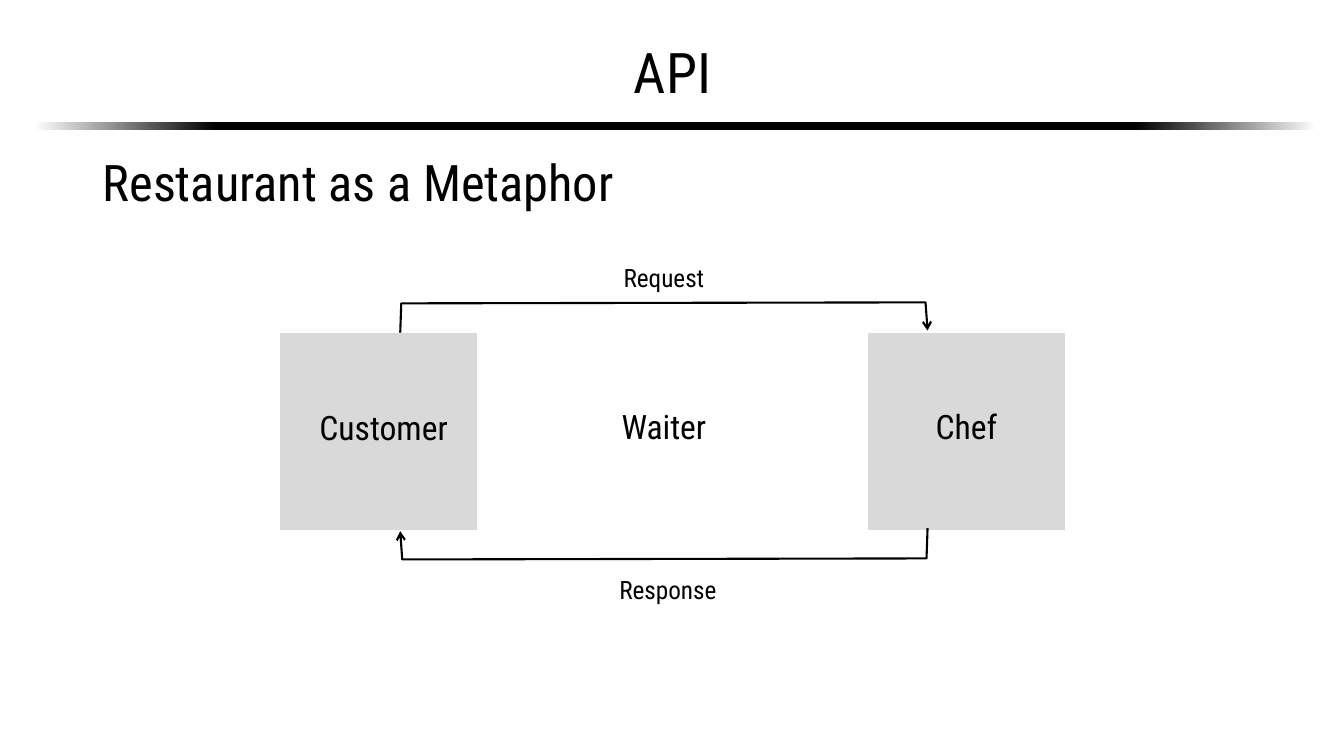
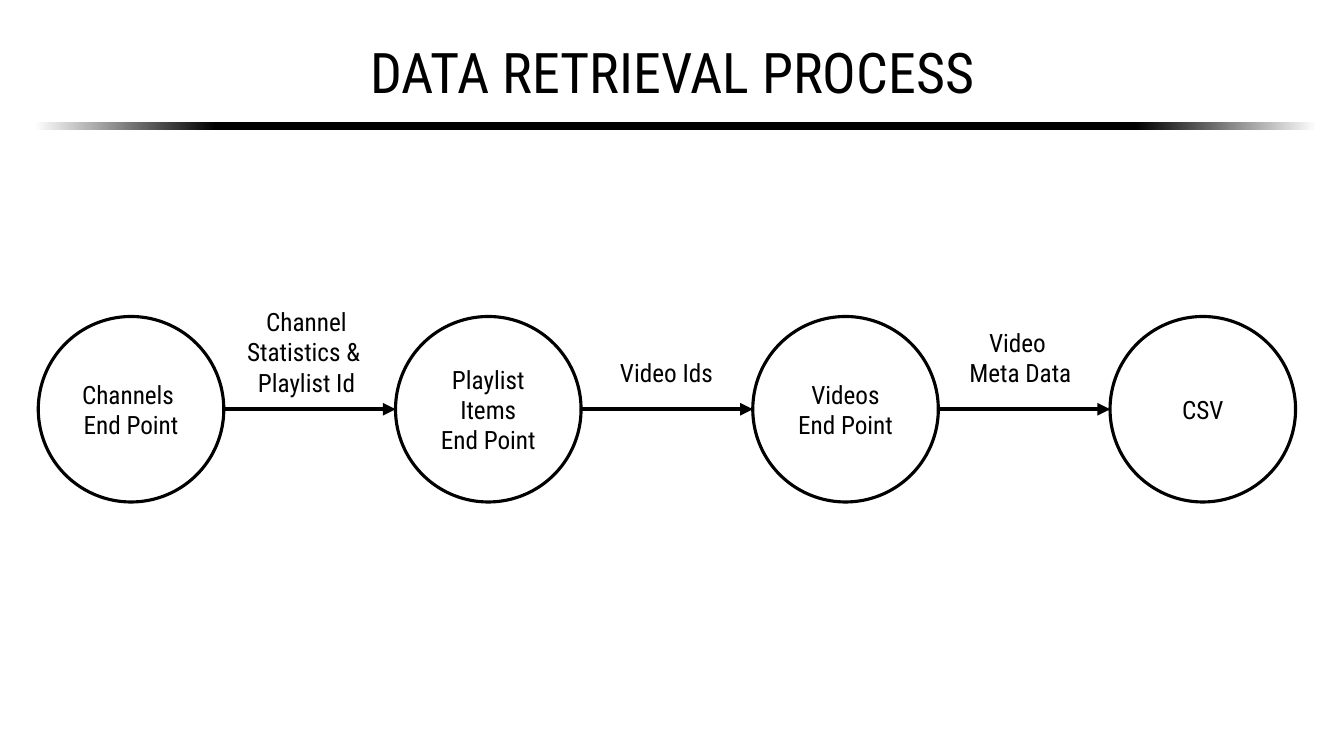
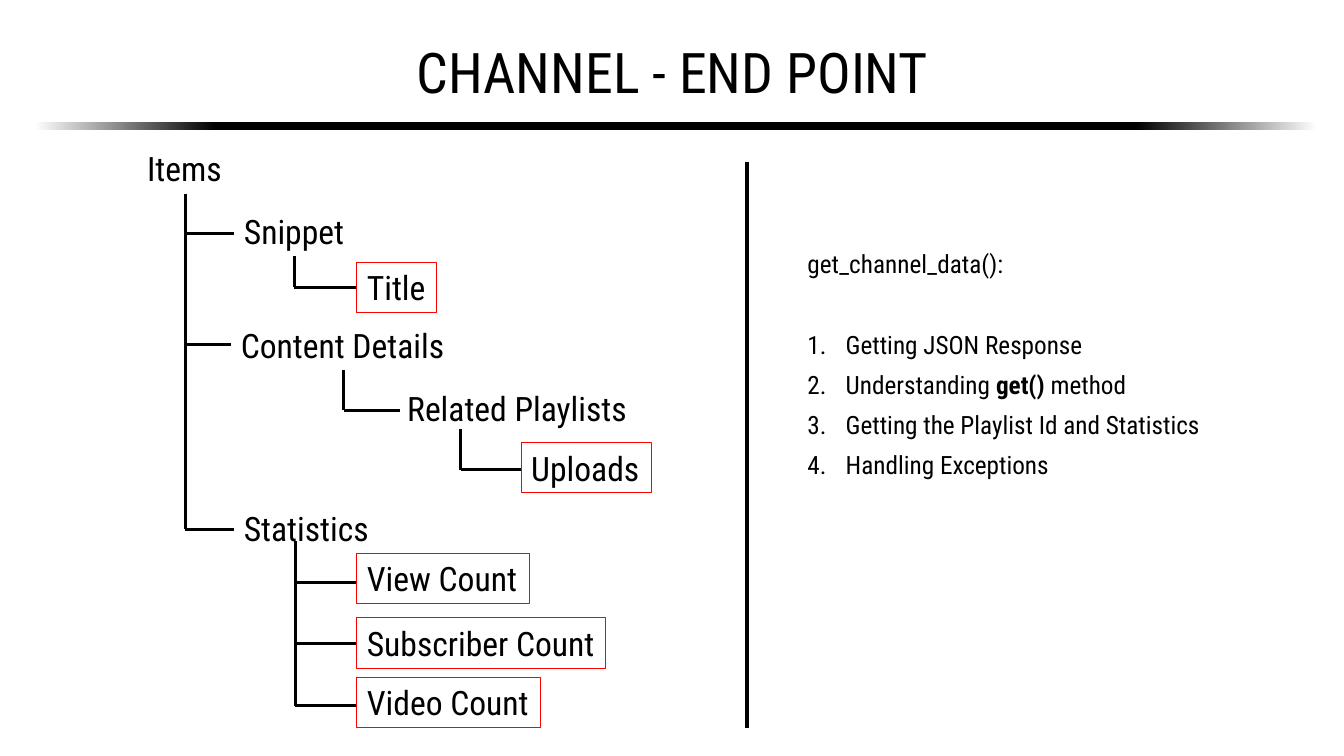
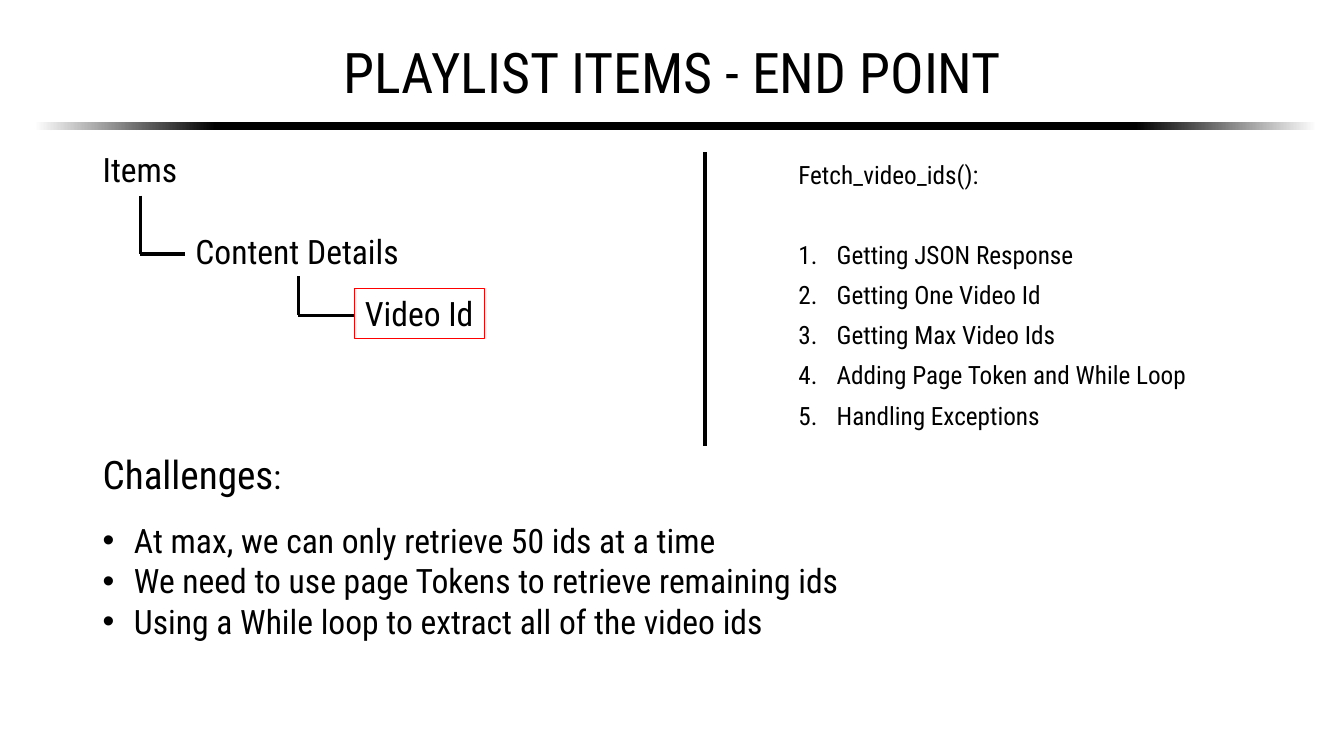
from dataclasses import dataclass
from typing import Any

import pptx
import pptx.dml.color
import pptx.enum.shapes
import pptx.enum.text
import pptx.oxml
import pptx.oxml.ns
import pptx.util

Inches = pptx.util.Inches
Pt = pptx.util.Pt
RGB = pptx.dml.color.RGBColor
qn = pptx.oxml.ns.qn
SHAPE = pptx.enum.shapes.MSO_SHAPE
ALIGN = pptx.enum.text.PP_ALIGN
ANCHOR = pptx.enum.text.MSO_ANCHOR
AUTO = pptx.enum.text.MSO_AUTO_SIZE


@dataclass(frozen=True)
class Theme:
    font: str = "Roboto Condensed"
    ink: str = "000000"
    paper: str = "FFFFFF"
    box: str = "D9D9D9"
    mark: str = "FF0000"
    title: int = 40
    subtitle: int = 36
    heading: int = 28
    body: int = 24
    small: int = 18
    list_spacing: float = 1.33
    list_gap: float = 28.5


T = Theme()


@dataclass(frozen=True)
class Run:
    text: str
    bold: bool = False
    size: int | None = None


@dataclass(frozen=True)
class Para:
    runs: tuple[Run, ...]
    bullet: str = ""
    indent: float = 0
    spacing: float | None = None
    before: float | None = None


@dataclass(frozen=True)
class Area:
    left: float
    top: float
    width: float
    height: float

    def emu(self) -> tuple[int, ...]:
        return tuple(Inches(v) for v in (self.left, self.top, self.width, self.height))


@dataclass(frozen=True)
class Label:
    text: str
    area: Area
    size: int = T.body


@dataclass(frozen=True)
class Node:
    text: str
    left: float
    top: float
    width: float
    boxed: bool = False


@dataclass(frozen=True)
class Branch:
    x: float
    top: float
    ends: tuple[tuple[float, float], ...]


def apply(obj: Any, values: dict[str, Any]) -> None:
    for name, value in values.items():
        setattr(obj, name, value)


def add_xml(parent: Any, tag: str, **attrs: str) -> Any:
    child = pptx.oxml.ns.OxmlElement(tag) if hasattr(pptx.oxml.ns, "OxmlElement") else parent.makeelement(qn(tag), {})
    for name, value in attrs.items():
        child.set(name, value)
    parent.append(child)
    return child


def plain(text: str) -> tuple[Para, ...]:
    return tuple(Para((Run(line),)) for line in text.split("\n"))


def write(tf: Any, paras: tuple[Para, ...], size: int, align: Any = ALIGN.LEFT) -> None:
    for i, para in enumerate(paras):
        p = tf.add_paragraph() if i else tf.paragraphs[0]
        p.alignment = align
        if para.spacing:
            p.line_spacing = para.spacing
        if para.before:
            p.space_before = Pt(para.before)
        if para.bullet:
            pPr = p._p.get_or_add_pPr()
            pPr.set("marL", str(Inches(para.indent)))
            pPr.set("indent", str(-Inches(para.indent)))
            if para.bullet == "1.":
                add_xml(pPr, "a:buAutoNum", type="arabicPeriod")
            else:
                add_xml(pPr, "a:buFont", typeface="Arial")
                add_xml(pPr, "a:buChar", char=para.bullet)
        for run in para.runs:
            r = p.add_run()
            r.text = run.text
            apply(r.font, {"name": T.font, "size": Pt(run.size or size), "bold": run.bold})
            r.font.color.rgb = RGB.from_string(T.ink)


def add_text(s: Any, area: Area, paras: tuple[Para, ...], size: int, align: Any = ALIGN.LEFT,
             **frame: Any) -> Any:
    sp = s.shapes.add_textbox(*area.emu())
    apply(sp.text_frame, {"word_wrap": True, "auto_size": AUTO.SHAPE_TO_FIT_TEXT} | frame)
    write(sp.text_frame, paras, size, align)
    return sp


def add_label(s: Any, label: Label) -> None:
    add_text(s, label.area, plain(label.text), label.size, ALIGN.CENTER)


def set_line(obj: Any, color: str, width: float, head: str = "") -> None:
    obj.line.color.rgb = RGB.from_string(color)
    obj.line.width = Pt(width)
    if head:
        add_xml(obj.element.spPr.find(qn("a:ln")), "a:tailEnd", type=head)


def add_shape(s: Any, kind: Any, area: Area, fill: str = "") -> Any:
    sp = s.shapes.add_shape(kind, *area.emu())
    sp.shadow.inherit = False
    if fill:
        sp.fill.solid()
        sp.fill.fore_color.rgb = RGB.from_string(fill)
    else:
        sp.fill.background()
    return sp


def add_line(s: Any, x1: float, y1: float, x2: float, y2: float,
             width: float = 2.25, head: str = "") -> None:
    c = s.shapes.add_connector(pptx.enum.shapes.MSO_CONNECTOR.STRAIGHT,
                               Inches(x1), Inches(y1), Inches(x2), Inches(y2))
    set_line(c, T.ink, width, head)
    add_xml(c.element.spPr, "a:effectLst")


def add_bent_arrow(s: Any, points: tuple[tuple[float, float], ...]) -> None:
    start, *rest = [(Inches(x), Inches(y)) for x, y in points]
    builder = s.shapes.build_freeform(*start)
    builder.add_line_segments(rest, close=False)
    sp = builder.convert_to_shape()
    sp.shadow.inherit = False
    sp.fill.background()
    set_line(sp, T.ink, 1.5, "arrow")


def add_slide(prs: Any, title: str) -> Any:
    s = prs.slides.add_slide(prs.slide_layouts[6])
    add_text(s, Area(0.92, 0.28, 11.5, 0.93), (Para((Run(title),), spacing=0.9),), T.title,
             ALIGN.CENTER, auto_size=AUTO.NONE, vertical_anchor=ANCHOR.MIDDLE)
    band = add_shape(s, SHAPE.RECTANGLE, Area(0.34, 1.21, 12.85, 0.08))
    band.line.fill.background()
    band.fill.gradient()
    band.fill.gradient_angle = 0
    stops = band.element.spPr.find(qn("a:gradFill")).find(qn("a:gsLst"))
    for stop in list(stops):
        stops.remove(stop)
    for percent, color in ((0, T.paper), (14, T.ink), (85, T.ink), (99, T.paper)):
        add_xml(add_xml(stops, "a:gs", pos=str(percent * 1000)), "a:srgbClr", val=color)
    return s


def add_tree(s: Any, nodes: tuple[Node, ...], branches: tuple[Branch, ...]) -> None:
    for branch in branches:
        add_line(s, branch.x, branch.top, branch.x, branch.ends[-1][0])
        for y, right in branch.ends:
            add_line(s, branch.x, y, right, y)
    for node in nodes:
        sp = add_text(s, Area(node.left, node.top, node.width, 0.5), plain(node.text), T.body,
                      word_wrap=False)
        if node.boxed:
            set_line(sp, T.mark, 0.75)


def add_steps(s: Any, area: Area, heading: str, steps: tuple[tuple[Run, ...], ...]) -> None:
    paras = [Para((Run(heading),), spacing=T.list_spacing)]
    for i, runs in enumerate(steps):
        paras.append(Para(runs, "1.", 0.38, T.list_spacing, None if i else T.list_gap))
    add_text(s, area, tuple(paras), T.small)


def build_api(prs: Any) -> None:
    s = add_slide(prs, "API")
    add_text(s, Area(0.92, 1.45, 6.19, 0.71), plain("Restaurant as a Metaphor"), T.subtitle)
    for left in (2.77, 8.6):
        set_line(add_shape(s, SHAPE.RECTANGLE, Area(left, 3.3, 1.97, 1.97), T.box), T.paper, 1)
    for label in (
        Label("Customer", Area(3.03, 3.99, 1.55, 0.5)),
        Label("Waiter", Area(5.81, 3.98, 1.55, 0.5)),
        Label("Chef", Area(8.85, 3.98, 1.47, 0.5)),
        Label("Request", Area(5.42, 2.55, 2.33, 0.4), T.small),
        Label("Response", Area(5.46, 5.65, 2.33, 0.4), T.small),
    ):
        add_label(s, label)
    add_bent_arrow(s, ((9.2, 5.24), (9.19, 5.54), (3.99, 5.55), (3.97, 5.27)))
    add_bent_arrow(s, ((3.97, 3.3), (3.98, 3.01), (9.18, 3), (9.2, 3.28)))


def build_process(prs: Any) -> None:
    s = add_slide(prs, "DATA RETRIEVAL PROCESS")
    stages = ("Channels \nEnd Point", "Playlist Items\nEnd Point", "Videos\nEnd Point", "CSV")
    size, top, first, last = 1.84, 3.14, 0.38, 11.01
    pitch = (last - first) / (len(stages) - 1)
    middle = top + size / 2
    for i, stage in enumerate(stages):
        left = first + i * pitch
        sp = add_shape(s, SHAPE.OVAL, Area(left, top, size, size))
        set_line(sp, T.ink, 2.25)
        apply(sp.text_frame, {"word_wrap": True, "vertical_anchor": ANCHOR.MIDDLE})
        write(sp.text_frame, plain(stage), T.small, ALIGN.CENTER)
        if i:
            add_line(s, left - pitch + size, middle, left, middle, 3, "triangle")
    for label in (
        Label("Channel Statistics & \nPlaylist Id", Area(2.23, 2.99, 1.62, 1.01), T.small),
        Label("Video Ids", Area(5.8, 3.5, 1.62, 0.4), T.small),
        Label("Video \nMeta Data", Area(9.31, 3.2, 1.62, 0.71), T.small),
    ):
        add_label(s, label)


def build_channel(prs: Any) -> None:
    s = add_slide(prs, "CHANNEL - END POINT")
    nodes = (
        Node("Items", 1.36, 1.42, 0.95),
        Node("Snippet", 2.32, 2.04, 1.21),
        Node("Title", 3.54, 2.6, 0.79, True),
        Node("Content Details", 2.29, 3.17, 2.24),
        Node("Related Playlists", 3.94, 3.8, 2.41),
        Node("Uploads", 5.17, 4.39, 1.29, True),
        Node("Statistics", 2.32, 4.99, 1.46),
        Node("View Count", 3.54, 5.49, 1.71, True),
        Node("Subscriber Count", 3.54, 6.13, 2.47, True),
        Node("Video Count", 3.54, 6.72, 1.82, True),
    )
    branches = (
        Branch(1.84, 1.92, ((2.32, 2.32), (3.42, 2.29), (5.25, 2.32))),
        Branch(2.92, 2.54, ((2.85, 3.53),)),
        Branch(3.41, 3.67, ((4.07, 3.97),)),
        Branch(4.57, 4.26, ((4.66, 5.17),)),
        Branch(2.93, 5.37, ((5.78, 3.54), (6.38, 3.54), (7, 3.54))),
    )
    add_tree(s, nodes, branches)
    add_line(s, 7.41, 1.61, 7.41, 7.22, 3)
    add_steps(s, Area(7.91, 2.32, 4.5, 2.48), "get_channel_data():", (
        (Run("Getting JSON Response"),),
        (Run("Understanding "), Run("get()", True), Run(" method")),
        (Run("Getting the Playlist Id and Statistics"),),
        (Run("Handling Exceptions"),),
    ))


def build_playlist(prs: Any) -> None:
    s = add_slide(prs, "PLAYLIST ITEMS - END POINT")
    nodes = (
        Node("Items", 0.92, 1.43, 0.95),
        Node("Content Details", 1.84, 2.24, 2.24),
        Node("Video Id", 3.52, 2.86, 1.29, True),
    )
    branches = (
        Branch(1.39, 1.94, ((2.52, 1.84),)),
        Branch(2.96, 2.74, ((3.13, 3.52),)),
    )
    add_tree(s, nodes, branches)
    add_text(s, Area(0.92, 4.42, 2.14, 0.57),
             (Para((Run("Challenges"), Run(":", size=T.body))),), T.heading)
    challenges = (
        "At max, we can only retrieve 50 ids at a time",
        "We need to use page Tokens to retrieve remaining ids",
        "Using a While loop to extract all of the video ids",
    )
    add_text(s, Area(0.92, 5.11, 7.61, 1.31),
             tuple(Para((Run(text),), "•", 0.31) for text in challenges), T.body)
    steps = ("Getting JSON Response", "Getting One Video Id", "Getting Max Video Ids",
             "Adding Page Token and While Loop", "Handling Exceptions")
    add_steps(s, Area(7.82, 1.43, 4.5, 2.88), "Fetch_video_ids():",
              tuple((Run(step),) for step in steps))
    add_line(s, 6.99, 1.51, 6.99, 4.42, 3)


def main() -> None:
    prs = pptx.Presentation()
    apply(prs, {"slide_width": Inches(13.33), "slide_height": Inches(7.5)})
    for build in (build_api, build_process, build_channel, build_playlist):
        build(prs)
    prs.save("out.pptx")


if __name__ == "__main__":
    main()
